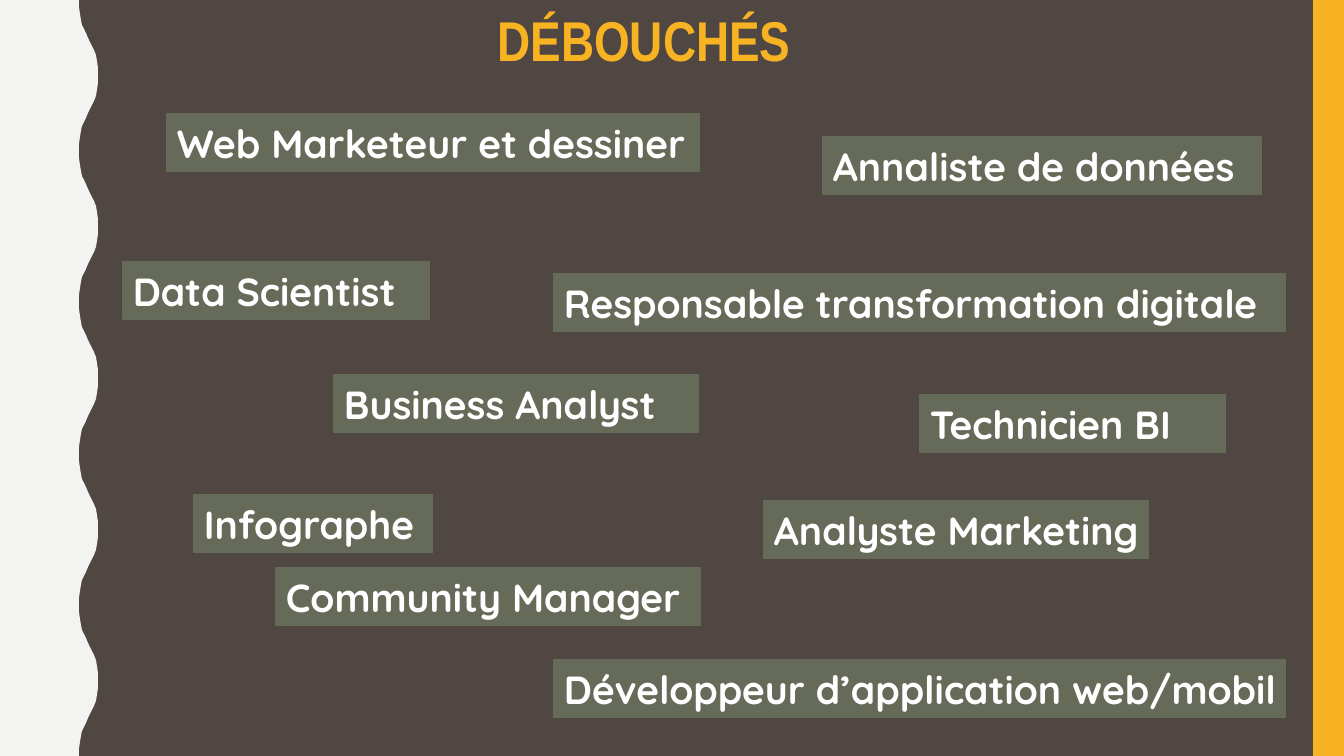
from pptx import Presentation
from pptx.dml.color import RGBColor
from pptx.enum.shapes import MSO_SHAPE
from pptx.enum.text import MSO_ANCHOR, MSO_AUTO_SIZE, PP_ALIGN
from pptx.util import Pt

SCALE = 914400 / 100.8
WIDTH, HEIGHT = 1344, 756
BROWN = RGBColor(0x51, 0x47, 0x42)
PAPER = RGBColor(0xF3, 0xF3, 0xF2)
AMBER = RGBColor(0xF8, 0xB3, 0x23)
OLIVE = RGBColor(0x65, 0x6A, 0x59)
WHITE = RGBColor(0xFF, 0xFF, 0xFF)

WAVE_COUNT = 5
WAVE_RISE = [
    (79, 0), (79, 7), (80, 14), (81, 20), (82, 25), (84, 29), (86, 33), (88, 38),
    (90, 42), (92, 46), (94, 50), (96, 55), (97, 61), (98, 68), (98, 76),
]
JOB_HEIGHT = 58
JOBS = [
    ("Web Marketeur et dessiner", 167, 114, 533),
    ("Data Scientist", 123, 262, 307),
    ("Business Analyst", 334, 375, 365),
    ("Infographe", 194, 495, 239),
    ("Analyste Marketing", 764, 501, 385),
    ("Community Manager", 276, 568, 425),
    ("Développeur d’application web/mobil", 554, 660, 732),
    ("Annaliste de données", 823, 137, 439),
    ("Responsable transformation digitale", 554, 274, 732),
    ("Technicien BI", 920, 395, 306),
]


def emu(pixels):
    return round(pixels * SCALE)


def paint(shape, color):
    shape.shadow.inherit = False
    shape.fill.solid()
    shape.fill.fore_color.rgb = color
    shape.line.fill.background()


def write(shape, text, font_name, size, color, alignment):
    frame = shape.text_frame
    frame.text = text
    frame.word_wrap = True
    frame.auto_size = MSO_AUTO_SIZE.NONE
    frame.vertical_anchor = MSO_ANCHOR.MIDDLE
    paragraph = frame.paragraphs[0]
    paragraph.alignment = alignment
    font = paragraph.runs[0].font
    font.name = font_name
    font.size = Pt(size)
    font.bold = True
    font.color.rgb = color


def add_bar(slide, left, top, width, height, color):
    bar = slide.shapes.add_shape(
        MSO_SHAPE.RECTANGLE, emu(left), emu(top), emu(width), emu(height))
    paint(bar, color)
    return bar


def add_wavy_edge(slide):
    period = HEIGHT / WAVE_COUNT
    wave = WAVE_RISE + [(x, period - y) for x, y in reversed(WAVE_RISE[:-1])]
    points = [(x, round(index * period + y))
              for index in range(WAVE_COUNT) for x, y in wave]
    builder = slide.shapes.build_freeform(0, 0, scale=SCALE)
    builder.add_line_segments(points + [(0, HEIGHT)], close=True)
    paint(builder.convert_to_shape(), PAPER)


def add_title(slide, text):
    title = slide.shapes.title
    title.left, title.top = emu(396), emu(0)
    title.width, title.height = emu(496), emu(78)
    write(title, text, "Arial Narrow", 40, AMBER, PP_ALIGN.CENTER)


def add_job(slide, text, left, top, width):
    job = add_bar(slide, left, top, width, JOB_HEIGHT, OLIVE)
    job.line.color.rgb = OLIVE
    job.line.width = Pt(0.75)
    write(job, text, "Quicksand", 28, WHITE, PP_ALIGN.LEFT)


def main():
    presentation = Presentation()
    presentation.slide_width = emu(WIDTH)
    presentation.slide_height = emu(HEIGHT)
    slide = presentation.slides.add_slide(presentation.slide_layouts[5])
    slide.background.fill.solid()
    slide.background.fill.fore_color.rgb = BROWN
    add_wavy_edge(slide)
    add_bar(slide, 1313, 0, WIDTH - 1313, HEIGHT, AMBER)
    add_title(slide, "DÉBOUCHÉS")
    for job in JOBS:
        add_job(slide, *job)
    presentation.save("out.pptx")


main()
